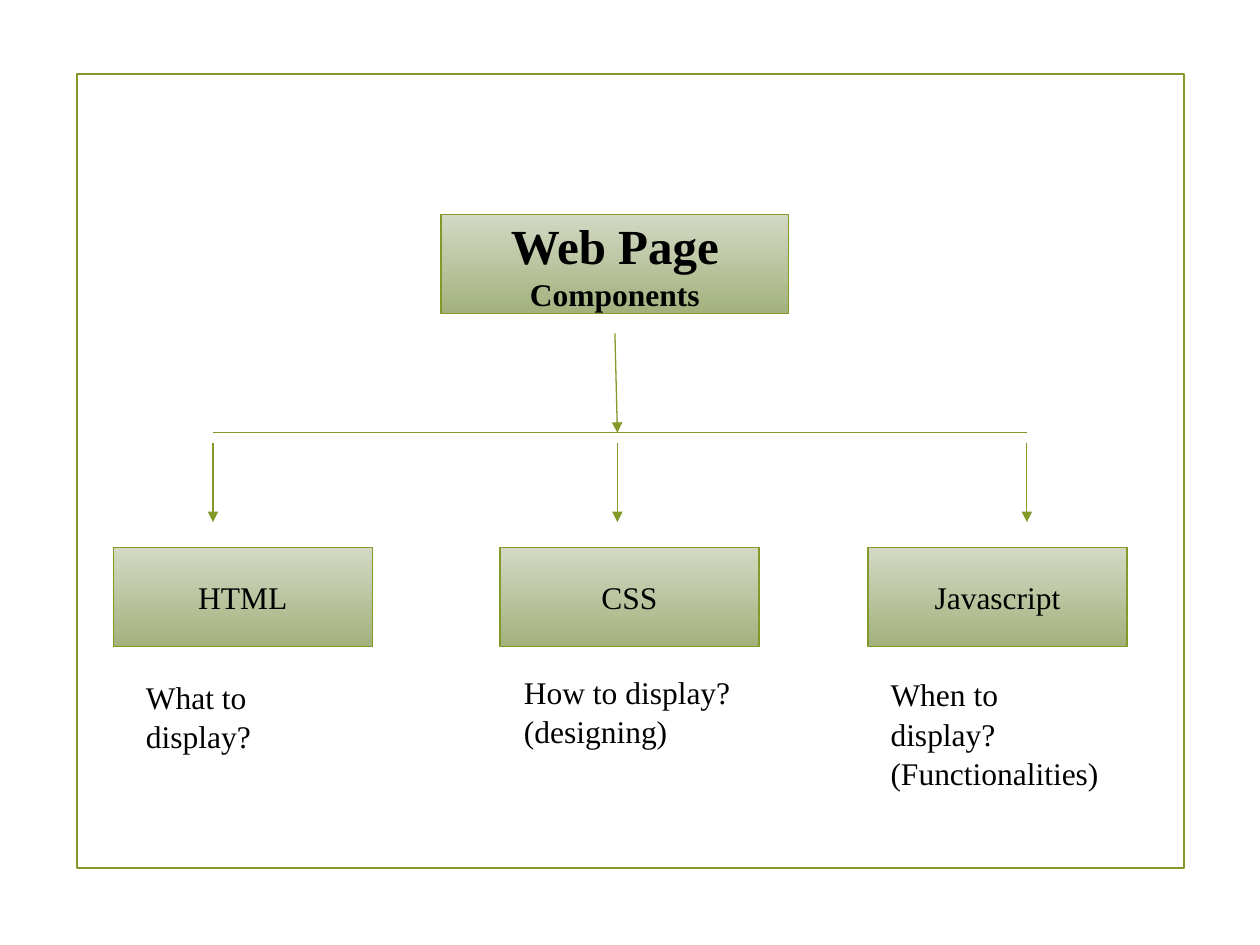
import pptx
import pptx.dml.color
import pptx.enum.shapes
import pptx.enum.text
import pptx.oxml
import pptx.oxml.ns
import pptx.util

Pt = pptx.util.Pt
COLORS = {"olive": "83992A", "light": "D3D9C4", "dark": "A3B17D", "text": "000000"}
FONT = "Times New Roman"
COMPONENTS = [
    ("HTML", ["What to display?"], 64.8, 121.7, 76.3, 383),
    ("CSS", ["How to display?", "(designing)"], 285.8, 352.8, 292.3, 380.2),
    ("Javascript", ["When to display?", "(Functionalities)"], 496.1, 586.8, 501.8, 381.6),
]


def rgb(name):
    """Return the named colour."""
    return pptx.dml.color.RGBColor.from_string(COLORS[name])


def write_lines(frame, lines, align, spacing=None):
    """Write (text, size, bold) lines as paragraphs."""
    for index, (text, size, bold) in enumerate(lines):
        paragraph = frame.paragraphs[0] if index == 0 else frame.add_paragraph()
        paragraph.alignment = align
        if spacing:
            paragraph.line_spacing = spacing
        run = paragraph.add_run()
        run.text = text
        run.font.name = FONT
        run.font.size = Pt(size)
        run.font.bold = bold
        run.font.color.rgb = rgb("text")


def add_rectangle(slide, left, top, width, height, line_width):
    """Add an olive outlined rectangle."""
    rectangle = slide.shapes.add_shape(
        pptx.enum.shapes.MSO_SHAPE.RECTANGLE, Pt(left), Pt(top), Pt(width), Pt(height))
    rectangle.shadow.inherit = False
    rectangle.fill.background()
    rectangle.line.color.rgb = rgb("olive")
    rectangle.line.width = Pt(line_width)
    return rectangle


def add_node(slide, left, top, width, height, lines):
    """Add a gradient box with centred lines."""
    node = add_rectangle(slide, left, top, width, height, 0.75)
    node.fill.gradient()
    node.fill.gradient_angle = 270
    for stop, name in zip(node.fill.gradient_stops, ("light", "dark")):
        stop.color.rgb = rgb(name)
    node.text_frame.word_wrap = True
    node.text_frame.vertical_anchor = pptx.enum.text.MSO_ANCHOR.MIDDLE
    write_lines(node.text_frame, lines, pptx.enum.text.PP_ALIGN.CENTER)


def add_line(slide, x1, y1, x2, y2, arrow=True):
    """Add a thin olive line, with an arrowhead at its end if wanted."""
    line = slide.shapes.add_connector(
        pptx.enum.shapes.MSO_CONNECTOR.STRAIGHT, Pt(x1), Pt(y1), Pt(x2), Pt(y2))
    line.line.color.rgb = rgb("olive")
    line.line.width = Pt(0.75)
    if arrow:
        head = pptx.oxml.parse_xml(
            f'<a:tailEnd {pptx.oxml.ns.nsdecls("a")} type="triangle"/>')
        line.line._get_or_add_ln().append(head)
    effects = pptx.oxml.parse_xml(f'<a:effectLst {pptx.oxml.ns.nsdecls("a")}/>')
    line._element.spPr.append(effects)


def add_caption(slide, left, top, width, height, lines):
    """Add the question that a component answers."""
    caption = slide.shapes.add_textbox(Pt(left), Pt(top), Pt(width), Pt(height))
    caption.text_frame.word_wrap = True
    write_lines(caption.text_frame, [(line, 18, False) for line in lines],
                pptx.enum.text.PP_ALIGN.LEFT, 1.04)


def add_hierarchy(slide, left, top, width, height):
    """Draw the framed web page hierarchy in the given box."""
    add_rectangle(slide, left, top, width, height, 1.25)
    x, y = left - 43.9, top - 42.5
    add_node(slide, x + 252, y + 122.4, 198.7, 56.9,
             [("Web Page", 28, True), ("Components", 18, True)])
    branches = [component[3] for component in COMPONENTS]
    add_line(slide, x + 351.4, y + 190.5, x + branches[1], y + 247.3)
    add_line(slide, x + branches[0], y + 247.3, x + branches[-1], y + 247.3, arrow=False)
    for title, question, box_left, branch, caption_left, caption_top in COMPONENTS:
        add_line(slide, x + branch, y + 252.9, x + branch, y + 298.4)
        add_node(slide, x + box_left, y + 312.9, 147.9, 56.5, [(title, 18, False)])
        add_caption(slide, x + caption_left, y + caption_top, 136.1,
                    7.2 + 21.8 * len(question), question)


def main():
    """Build and save the slide."""
    presentation = pptx.Presentation()
    presentation.slide_width, presentation.slide_height = Pt(720), Pt(540)
    slide = presentation.slides.add_slide(presentation.slide_layouts[6])
    add_hierarchy(slide, 43.9, 42.5, 632.9, 453.6)
    presentation.save("out.pptx")


if __name__ == "__main__":
    main()
